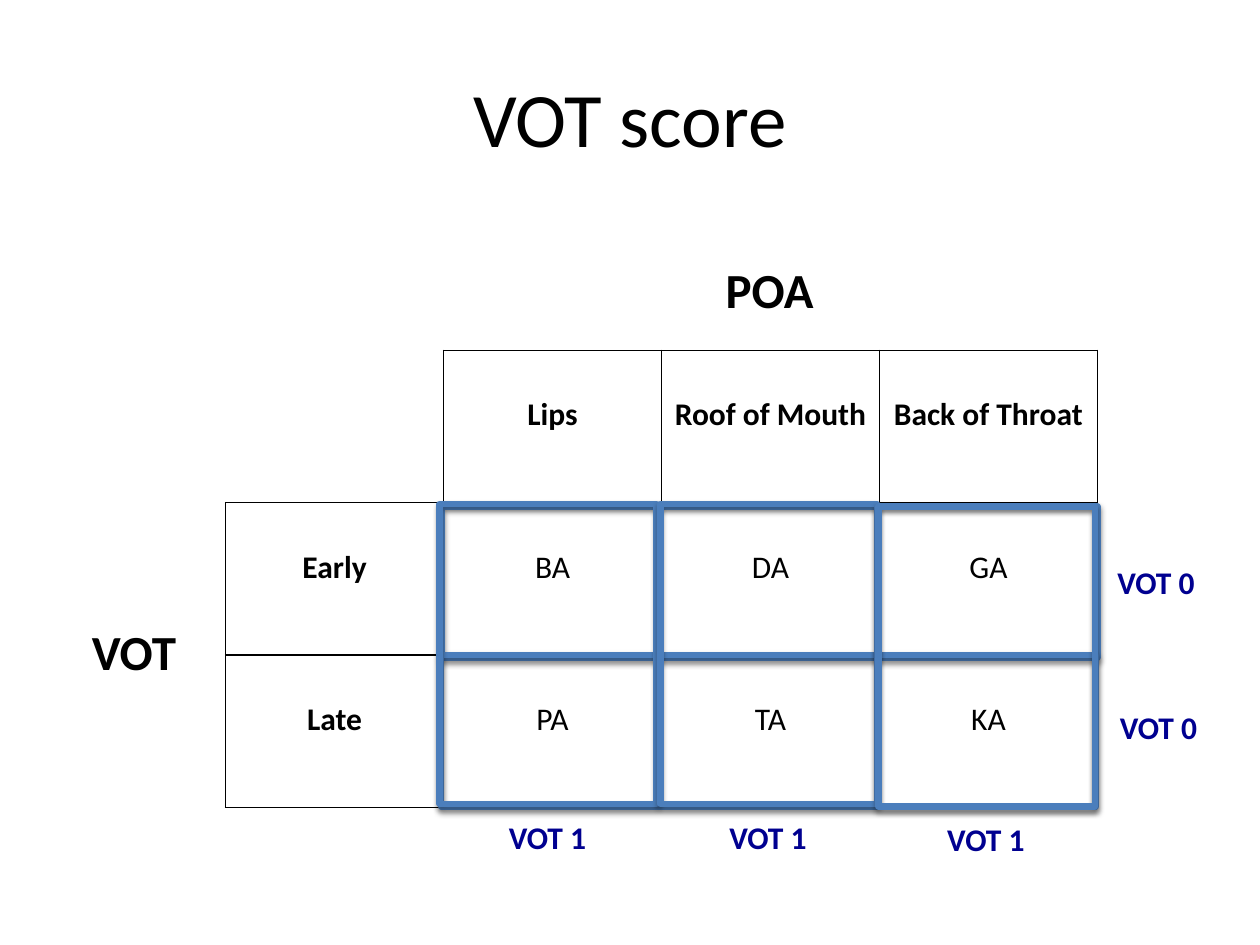
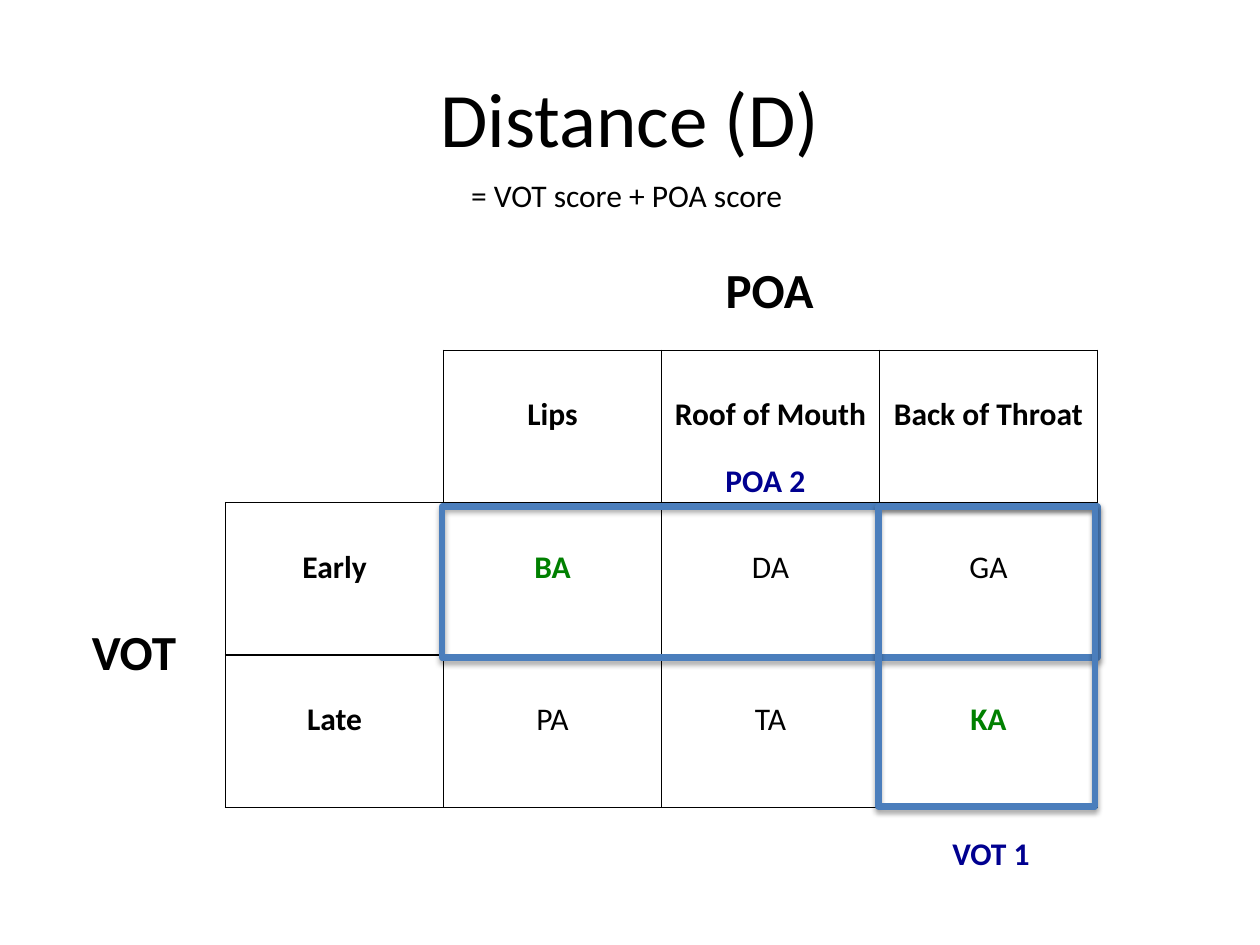
from lxml import etree
from pptx import Presentation
from pptx import util as u
from pptx.dml.color import RGBColor
from pptx.enum import shapes, text
from pptx.oxml.ns import qn

FONT = "Calibri"
INK, NAVY, GREEN, BLUE = "000000", "000090", "008000", "4B7EBC"
GRID = (1.79, 2.78, 6.92, 3.63)
CELLS = [
    ["", "Lips", "Roof of Mouth", "Back of Throat"],
    ["Early", "BA", "DA", "GA"],
    ["Late", "PA", "TA", "KA"],
]
CENTER = text.PP_ALIGN.CENTER


def color(code):
    """Turn a hex string into a colour."""
    return RGBColor.from_string(code)


def inches(*nums):
    """Turn numbers into lengths."""
    return [u.Inches(n) for n in nums]


def write(frame, words, size=18, bold=False, ink=INK, align=None):
    """Put formatted words into a text frame."""
    para = frame.paragraphs[0]
    para.alignment = align
    run = para.add_run()
    run.text = words
    font = run.font
    font.name, font.size, font.bold = FONT, u.Pt(size), bold
    font.color.rgb = color(ink)


def label(parent, box, words, **style):
    """Add an unwrapped text box."""
    frame = parent.add_textbox(*inches(*box)).text_frame
    frame.word_wrap = False
    frame.auto_size = text.MSO_AUTO_SIZE.SHAPE_TO_FIT_TEXT
    write(frame, words, **style)


def title(slide, words):
    """Fill and place the slide title."""
    head = slide.shapes.title
    head.left, head.top, head.width, head.height = inches(0.5, 0.3, 9, 1.25)
    head.text_frame.vertical_anchor = text.MSO_ANCHOR.MIDDLE
    write(head.text_frame, words, size=44, align=CENTER)


def border(cell, shown):
    """Draw the shown sides of a cell and hide the others."""
    props = cell._tc.get_or_add_tcPr()
    for spot, side in enumerate("LRTB"):
        line = etree.Element(qn(f"a:ln{side}"), w=str(u.Pt(1)))
        if side in shown:
            fill = etree.SubElement(line, qn("a:solidFill"))
            etree.SubElement(fill, qn("a:srgbClr"), val=INK)
        else:
            etree.SubElement(line, qn("a:noFill"))
        props.insert(spot, line)


def grid(slide, box, keys):
    """Draw the sound table with its two axis names."""
    left, top, width, height = box
    rows, cols = len(CELLS), len(CELLS[0])
    table = slide.shapes.add_table(rows, cols, *inches(*box)).table
    table.first_row = table.horz_banding = False
    for col in table.columns:
        col.width = u.Inches(width / cols)
    for r, line in enumerate(CELLS):
        table.rows[r].height = u.Inches(height / rows)
        for c, words in enumerate(line):
            cell = table.cell(r, c)
            cell.fill.background()
            cell.margin_top = u.Inches(0.36)
            border(cell, "LRTB" if words else "RB")
            if words:
                key = words in keys
                write(cell.text_frame, words, bold=key or r == 0 or c == 0,
                      ink=GREEN if key else INK, align=CENTER)
    label(slide.shapes, (left - 1.16, top + 2.1, 0.89, 0.57), "VOT", size=28, bold=True)
    label(slide.shapes, (left + 3.87, top - 0.77, 0.92, 0.57), "POA", size=28, bold=True)


def shade(shape):
    """Give a shape a soft shadow below it."""
    shape.shadow.inherit = False
    effects = shape._element.spPr.find(qn("a:effectLst"))
    outer = etree.SubElement(
        effects, qn("a:outerShdw"), blurRad=str(u.Pt(3.1)), dist=str(u.Pt(1.8)),
        dir="5400000", rotWithShape="0")
    tint = etree.SubElement(outer, qn("a:srgbClr"), val=INK)
    etree.SubElement(tint, qn("a:alpha"), val="35000")


def mark(slide, box, words, spot):
    """Frame some cells and add a score at a spot relative to the frame."""
    group = slide.shapes.add_group_shape().shapes
    rect = group.add_shape(shapes.MSO_SHAPE.RECTANGLE, *inches(*box))
    rect.fill.background()
    rect.line.color.rgb = color(BLUE)
    rect.line.width = u.Pt(3.75)
    shade(rect)
    label(group, (box[0] + spot[0], box[1] + spot[1], 0.83, 0.4), words,
          bold=True, ink=NAVY, align=CENTER)


def row(slide, box, num, words, nudge=(0, 0), spot=(5.25, 0.4)):
    """Mark one row of sounds."""
    left = box[0] + box[2] / 4 + nudge[0]
    top = box[1] + num * box[3] / 3 + nudge[1]
    mark(slide, (left, top, 5.2, 1.2), words, spot)


def column(slide, box, num, words, nudge=(0, 0), spot=(0.44, 2.44)):
    """Mark one column of sounds."""
    left = box[0] + num * box[2] / 4 + nudge[0]
    top = box[1] + box[3] / 3 + nudge[1]
    mark(slide, (left, top, 1.72, 2.38), words, spot)


def start(deck, words, keys=()):
    """Add a slide with its title and sound table."""
    slide = deck.slides.add_slide(deck.slide_layouts[5])
    title(slide, words)
    grid(slide, GRID, keys)
    return slide


def score(deck):
    """Build the slide with the voicing scores."""
    slide = start(deck, "VOT score")
    row(slide, GRID, 1, "VOT 0", (-0.01, 0.03))
    row(slide, GRID, 2, "VOT 0", (-0.02, 0), (5.28, 0.37))
    for num, nudge in enumerate([(-0.03, 0.01), (-0.01, 0.01), (-0.01, 0.03)], 1):
        column(slide, GRID, num, "VOT 1", nudge)


def distance(deck):
    """Build the slide with the summed distance."""
    slide = start(deck, "Distance (D)", ("BA", "KA"))
    row(slide, GRID, 1, "POA 2", (-0.01, 0.03), (2.15, -0.41))
    column(slide, GRID, 3, "VOT 1", (-0.01, 0.03), (0.48, 2.55))
    label(slide.shapes, (3.64, 1.35, 2.72, 0.4), "= VOT score + POA score")


def main():
    """Build and save the deck."""
    deck = Presentation()
    deck.slide_width, deck.slide_height = inches(10, 7.5)
    score(deck)
    distance(deck)
    deck.save("out.pptx")


if __name__ == "__main__":
    main()
